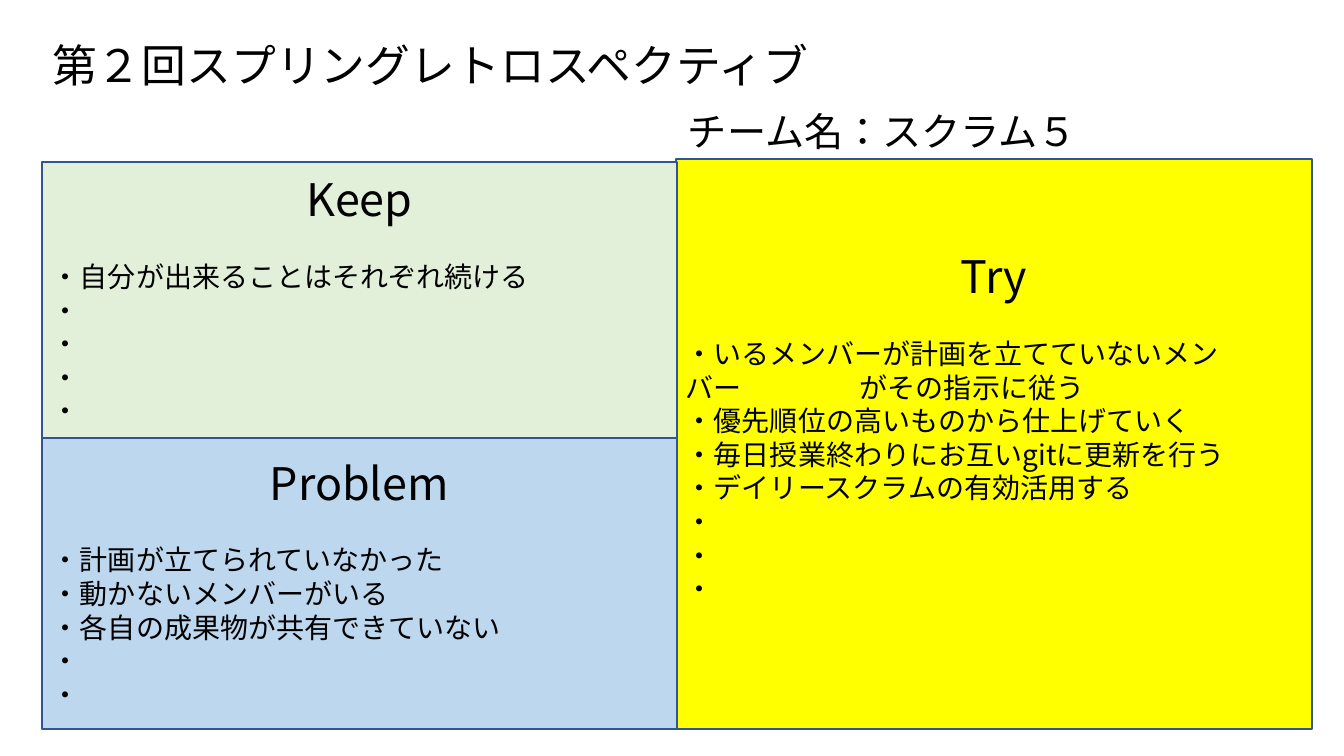
from dataclasses import dataclass

from lxml.etree import SubElement as sub
from pptx import Presentation
from pptx.dml.color import RGBColor as RGB
from pptx.enum.shapes import MSO_SHAPE as SHAPE
from pptx.enum.text import MSO_ANCHOR as ANCHOR, PP_ALIGN as ALIGN
from pptx.oxml.ns import qn
from pptx.util import Pt

PX = 914400 / 100.8


@dataclass(frozen=True)
class Theme:
    """Font, colours and type sizes of the slide."""
    font: str = "Noto Sans CJK JP"
    ink: str = "000000"
    edge: str = "325491"
    keep: str = "E2F0D9"
    problem: str = "BDD7EE"
    attempt: str = "FFFF00"
    head: int = 32
    team: int = 28
    body: int = 20


T = Theme()


def emu(px):
    """Turn pixels into EMU."""
    return round(px * PX)


def put(obj, **vals):
    """Set each named value on an object."""
    for name, val in vals.items():
        setattr(obj, name, val)


def place(shape, box):
    """Move a shape to a pixel box."""
    put(shape, **dict(zip(("left", "top", "width", "height"), map(emu, box))))


def write(para, text, size, **form):
    """Fill a paragraph with styled text."""
    para.text = text
    put(para, **{"alignment": ALIGN.LEFT, **form})
    for run in para.runs:
        put(run.font, size=Pt(size), name=T.font)
        run.font.color.rgb = RGB.from_string(T.ink)
        props = run.font._element
        props.set("lang", "ja-JP")
        sub(props, qn("a:ea"), typeface=T.font)


def title(slide, box, text):
    """Place the slide title in its placeholder."""
    shape = slide.shapes.title
    place(shape, box)
    put(shape.text_frame, vertical_anchor=ANCHOR.MIDDLE, word_wrap=True)
    write(shape.text_frame.paragraphs[0], text, T.head, line_spacing=0.9)


def team(slide, box, text):
    """Place the team name."""
    shape = slide.shapes.add_textbox(*map(emu, box))
    shape.text_frame.word_wrap = True
    write(shape.text_frame.paragraphs[0], text, T.team, line_spacing=Pt(34))


def panel(slide, box, fill, head, items, foot=5):
    """Draw a filled box with a centred heading above its points."""
    shape = slide.shapes.add_shape(SHAPE.RECTANGLE, *map(emu, box))
    shape.shadow.inherit = False
    shape.fill.solid()
    shape.fill.fore_color.rgb = RGB.from_string(fill)
    shape.line.color.rgb = RGB.from_string(T.edge)
    shape.line.width = Pt(1)
    frame = shape.text_frame
    put(frame, vertical_anchor=ANCHOR.MIDDLE, word_wrap=True,
        margin_bottom=emu(foot))
    write(frame.paragraphs[0], head, T.head, alignment=ALIGN.CENTER,
          line_spacing=Pt(38), space_after=Pt(24))
    for item in items:
        para = frame.add_paragraph()
        write(para, "・" + item, T.body, line_spacing=Pt(24))
        if "\t" in item:
            stops = sub(para._p.get_or_add_pPr(), qn("a:tabLst"))
            sub(stops, qn("a:tab"), pos=str(emu(174)), algn="l")


def board(slide, box):
    """Lay out Keep above Problem, with Try on the right."""
    left, top, wide, high = box
    half, cut = wide // 2, 276
    tries = ["いるメンバーが計画を立てていないメン\vバー\tがその指示に従う",
             "優先順位の高いものから仕上げていく",
             "毎日授業終わりにお互いgitに更新を行う",
             "デイリースクラムの有効活用する", "", "", ""]
    keeps = ["自分が出来ることはそれぞれ続ける", "", "", "", ""]
    woes = ["計画が立てられていなかった", "動かないメンバーがいる",
            "各自の成果物が共有できていない", "", ""]
    panel(slide, (left + half - 1, top - 3, half + 1, high + 3),
          T.attempt, "Try", tries, foot=38)
    panel(slide, (left, top, half, cut), T.keep, "Keep", keeps)
    panel(slide, (left, top + cut, half, high - cut),
          T.problem, "Problem", woes)


def main():
    """Build and save the slide."""
    deck = Presentation()
    put(deck, slide_width=emu(1344), slide_height=emu(756))
    slide = deck.slides.add_slide(deck.slide_layouts[5])
    title(slide, (42, 27, 1258, 83), "第２回スプリングレトロスペクティブ")
    board(slide, (42, 162, 1271, 567))
    team(slide, (678, 102, 634, 57), "チーム名：スクラム５")
    deck.save("out.pptx")


main()
